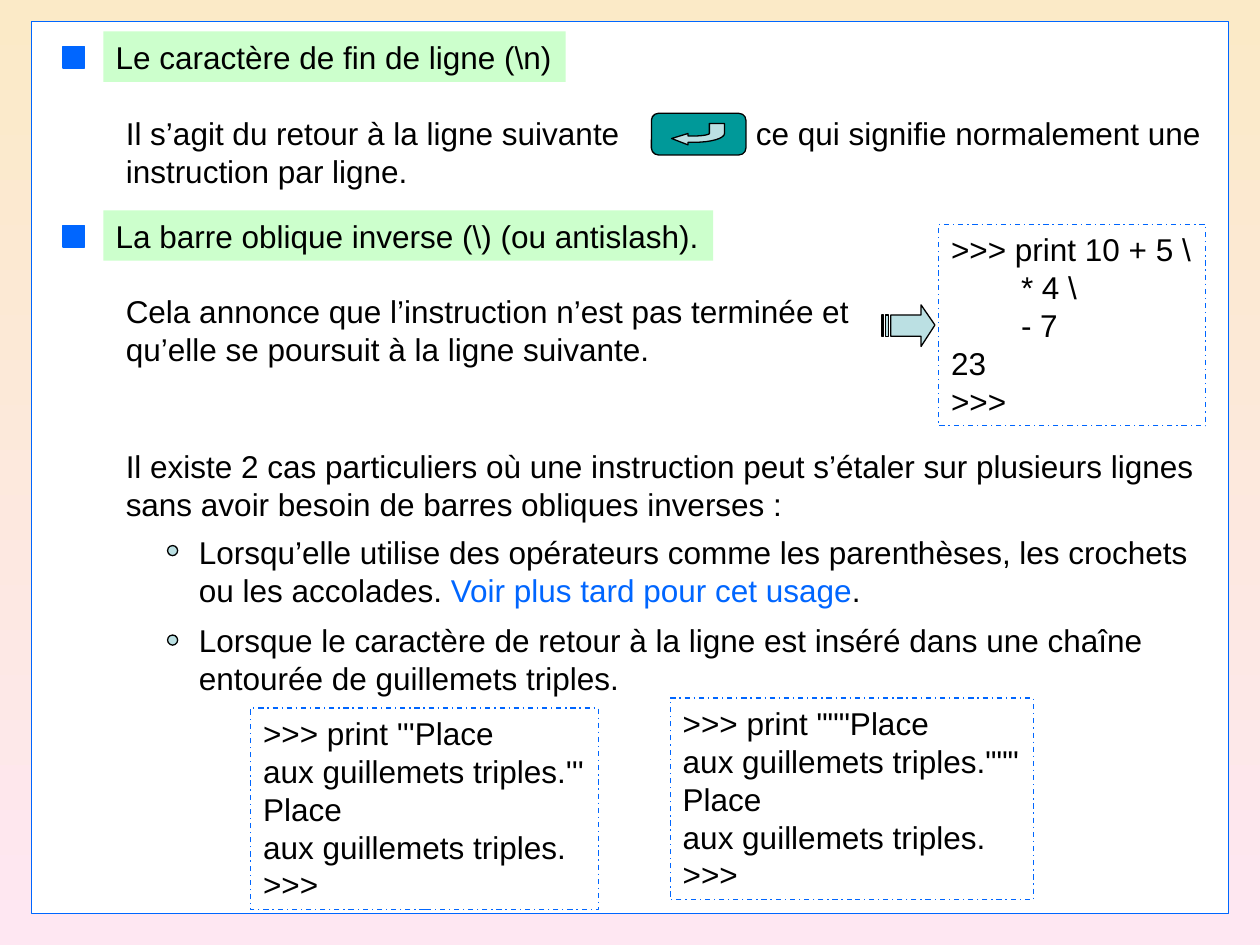
from lxml.etree import SubElement
from pptx import Presentation
from pptx.dml.color import RGBColor
from pptx.enum.dml import MSO_LINE
from pptx.enum.shapes import MSO_SHAPE
from pptx.enum.text import MSO_ANCHOR, MSO_AUTO_SIZE, PP_ALIGN
from pptx.oxml.ns import qn
from pptx.util import Inches, Pt

BLUE = RGBColor(0x00, 0x66, 0xFF)
BLACK = RGBColor(0x00, 0x00, 0x00)
WHITE = RGBColor(0xFF, 0xFF, 0xFF)
GREEN = RGBColor(0xCC, 0xFF, 0xCC)
TEAL = RGBColor(0x00, 0x99, 0x99)
PALE = RGBColor(0xBB, 0xE0, 0xE3)
CREAM = RGBColor(0xFB, 0xEA, 0xC7)
PINK = RGBColor(0xFE, 0xE7, 0xF2)

deck = Presentation()
deck.slide_width, deck.slide_height = Inches(10), Inches(7.5)
slide = deck.slides.add_slide(deck.slide_layouts[6])
shapes = slide.shapes


def style(shape, fill, line):
    shape.shadow.inherit = False
    if fill is None:
        shape.fill.background()
    else:
        shape.fill.solid()
        shape.fill.fore_color.rgb = fill
    if line is None:
        shape.line.fill.background()
    else:
        shape.line.color.rgb = line
        shape.line.width = Pt(0.75)
    return shape


def write(shape, lines):
    """Each line is a list of (text, colour) runs, or plain black text."""
    frame = shape.text_frame
    frame.word_wrap = False
    frame.auto_size = MSO_AUTO_SIZE.SHAPE_TO_FIT_TEXT
    frame.vertical_anchor = MSO_ANCHOR.TOP
    for i, line in enumerate(lines):
        para = frame.paragraphs[0] if i == 0 else frame.add_paragraph()
        para.alignment = PP_ALIGN.LEFT
        if "\t" in line:
            tabs = SubElement(para._p.get_or_add_pPr(), qn("a:tabLst"))
            for stop in (4, 5):
                SubElement(tabs, qn("a:tab"), pos=str(Inches(stop)), algn="l")
        for text, color in [(line, BLACK)] if isinstance(line, str) else line:
            run = para.add_run()
            run.text = text
            run.font.name = "Arial"
            run.font.size = Pt(18)
            run.font.color.rgb = color


# Background and white panel
back = slide.background.fill
back.gradient()
back.gradient_angle = 270
for stop, color in zip(back.gradient_stops, (CREAM, PINK)):
    stop.color.rgb = color
panel = shapes.add_shape(MSO_SHAPE.RECTANGLE, Inches(0.25), Inches(0.17), Inches(9.5), Inches(7.08))
style(panel, WHITE, BLUE)

# Headings with square markers
for top, width, text in [
    (0.25, 3.67, "Le caractère de fin de ligne (\\n)"),
    (1.67, 4.84, "La barre oblique inverse (\\) (ou antislash)."),
]:
    mark = shapes.add_shape(MSO_SHAPE.RECTANGLE, Inches(0.5), Inches(top + 0.12), Inches(0.17), Inches(0.17))
    style(mark, BLUE, BLUE)
    head = shapes.add_shape(MSO_SHAPE.RECTANGLE, Inches(0.82), Inches(top), Inches(width), Inches(0.4))
    write(style(head, GREEN, None), [text])

# Body text
for left, top, width, lines in [
    (0.9, 0.86, 8.75, ["Il s’agit du retour à la ligne suivante\t\tce qui signifie normalement une",
                       "instruction par ligne."]),
    (0.9, 2.27, 5.96, ["Cela annonce que l’instruction n’est pas terminée et",
                       "qu’elle se poursuit à la ligne suivante."]),
    (0.9, 3.5, 8.7, ["Il existe 2 cas particuliers où une instruction peut s’étaler sur plusieurs lignes",
                     "sans avoir besoin de barres obliques inverses :"]),
    (1.48, 4.18, 8.07, ["Lorsqu’elle utilise des opérateurs comme les parenthèses, les crochets",
                        [("ou les accolades. ", BLACK), ("Voir plus tard pour cet usage", BLUE), (".", BLACK)]]),
    (1.48, 4.88, 7.71, ["Lorsque le caractère de retour à la ligne est inséré dans une chaîne",
                        "entourée de guillemets triples."]),
]:
    write(shapes.add_textbox(Inches(left), Inches(top), Inches(width), Inches(0.7)), lines)

# Round markers
for top in (4.33, 5.04):
    dot = shapes.add_shape(MSO_SHAPE.OVAL, Inches(1.33), Inches(top), Inches(0.08), Inches(0.08))
    style(dot, PALE, BLACK)

# Code boxes
for left, top, width, fill, lines in [
    (7.45, 1.78, 2.12, WHITE, [">>> print 10 + 5 \\", "        * 4 \\", "        - 7", "23", ">>>"]),
    (1.99, 5.62, 2.76, None, [">>> print '''Place", "aux guillemets triples.'''", "Place",
                              "aux guillemets triples.", ">>>"]),
    (5.32, 5.54, 2.88, None, [">>> print \"\"\"Place", "aux guillemets triples.\"\"\"", "Place",
                              "aux guillemets triples.", ">>>"]),
]:
    code = shapes.add_shape(MSO_SHAPE.RECTANGLE, Inches(left), Inches(top), Inches(width), Inches(1.6))
    style(code, fill, BLUE).line.dash_style = MSO_LINE.DASH_DOT
    write(code, lines)

# Return key
key = shapes.add_shape(MSO_SHAPE.ROUNDED_RECTANGLE, Inches(5.17), Inches(0.9), Inches(0.75), Inches(0.33))
style(key, TEAL, BLACK)

# Bent arrow on the key, its two curves sampled as cubic Béziers
curves = []
for a, b, c, d in [
    ((5.51, 1.13), (5.64, 1.13), (5.75, 1.1), (5.75, 1.06)),
    ((5.63, 1.06), (5.63, 1.07), (5.57, 1.08), (5.51, 1.08)),
]:
    curves.append([])
    for t in [n / 8 for n in range(9)]:
        part = ((1 - t) ** 3, 3 * t * (1 - t) ** 2, 3 * t * t * (1 - t), t ** 3)
        curves[-1].append(tuple(sum(w * p[k] for w, p in zip(part, (a, b, c, d))) for k in (0, 1)))
outer, inner = curves
bent = [(5.33, 1.1), (5.46, 1.15), (5.46, 1.13), *outer, (5.75, 0.98), (5.63, 0.98),
        *inner, (5.46, 1.08), (5.46, 1.06)]

# Striped arrow pointing at the code: head, then two bars
striped = [[(7.31, 2.42), (7.31, 2.5), (7.07, 2.5), (7.07, 2.67), (7.31, 2.67), (7.31, 2.75), (7.42, 2.58)]]
for x, end in [(7.03, 7.05), (7, 7.01)]:
    striped.append([(x, 2.5), (x, 2.67), (end, 2.67), (end, 2.5)])

for paths in ([bent], striped):
    pen = None
    for points in paths:
        first, *rest = [(Inches(x), Inches(y)) for x, y in points]
        if pen is None:
            pen = shapes.build_freeform(*first)
        else:
            pen.move_to(*first)
        pen.add_line_segments(rest, close=True)
    style(pen.convert_to_shape(), PALE, BLACK)

deck.save("out.pptx")
